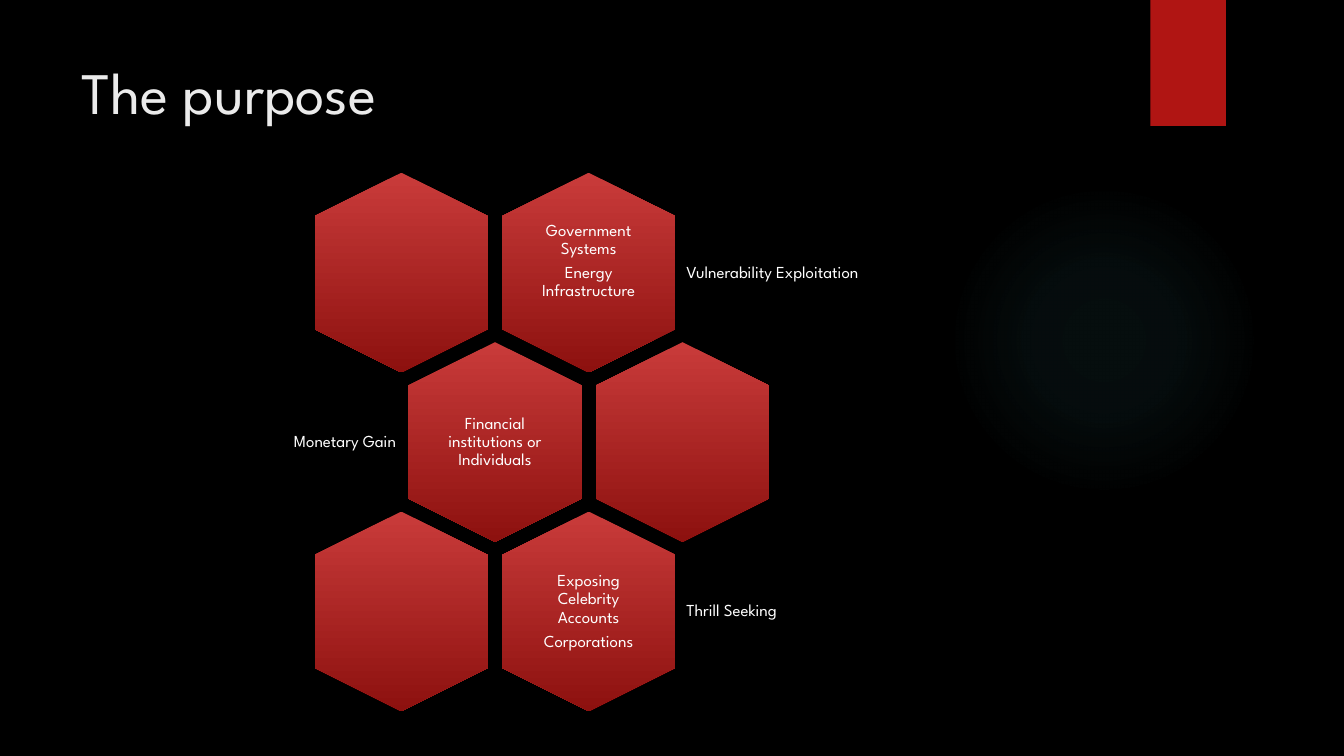
from lxml import etree
from pptx import Presentation
from pptx.dml.color import RGBColor
from pptx.enum.shapes import MSO_SHAPE
from pptx.enum.text import MSO_ANCHOR, PP_ALIGN
from pptx.oxml import parse_xml
from pptx.util import Pt

HEXAGON, OVAL, RECTANGLE = MSO_SHAPE.HEXAGON, MSO_SHAPE.OVAL, MSO_SHAPE.RECTANGLE
TOP, MIDDLE = MSO_ANCHOR.TOP, MSO_ANCHOR.MIDDLE
LEFT, CENTER, RIGHT = PP_ALIGN.LEFT, PP_ALIGN.CENTER, PP_ALIGN.RIGHT
FONT = "League Spartan"
DRAWING_NS = "http://schemas.openxmlformats.org/drawingml/2006/main"


def add_gradient_shape(preset, left, top, width, height, stops, direction):
    shape = slide.shapes.add_shape(preset, Pt(left), Pt(top), Pt(width), Pt(height))
    shape.shadow.inherit = False
    shape.line.fill.background()
    stop_xml = "".join(
        f'<a:gs pos="{position * 1000}"><a:srgbClr val="{color}">'
        f'<a:alpha val="{opacity * 1000}"/></a:srgbClr></a:gs>'
        for position, color, opacity in stops
    )
    gradient = parse_xml(
        f'<a:gradFill xmlns:a="{DRAWING_NS}" rotWithShape="0">'
        f"<a:gsLst>{stop_xml}</a:gsLst>{direction}</a:gradFill>"
    )
    shape._element.spPr.find(f"{{{DRAWING_NS}}}prstGeom").addnext(gradient)
    return shape


def add_caption(lines, left, top, width, height, align, bottom_inset=3.6):
    caption = slide.shapes.add_textbox(Pt(left), Pt(top), Pt(width), Pt(height))
    frame = caption.text_frame
    frame.word_wrap = True
    frame.vertical_anchor = MIDDLE
    frame.margin_left = frame.margin_right = frame.margin_top = Pt(3.6)
    frame.margin_bottom = Pt(bottom_inset)
    frame.text = "\n".join(lines)
    for paragraph in frame.paragraphs:
        paragraph.alignment = align
        paragraph.line_spacing = 0.9
        paragraph.space_after = Pt(4.2)
        paragraph.font.name = FONT
        paragraph.font.size = Pt(12)
        paragraph.font.color.rgb = RGBColor.from_string("FFFFFF")


presentation = Presentation()
presentation.slide_width = Pt(960)
presentation.slide_height = Pt(540)
slide = presentation.slides.add_slide(presentation.slide_layouts[5])
slide.background.fill.solid()
slide.background.fill.fore_color.rgb = RGBColor.from_string("000000")

add_gradient_shape(
    OVAL, 677.5, 131.8, 221.8, 221.8,
    [(0, "50B9C1", 7), (36, "50B9C1", 6), (69, "50B9C1", 0)],
    '<a:path path="circle"><a:fillToRect l="50000" t="50000" r="50000" b="50000"/></a:path>',
)

ribbon = slide.shapes.add_shape(RECTANGLE, Pt(821.7), Pt(0), Pt(54), Pt(90))
ribbon.shadow.inherit = False
ribbon.line.fill.background()
ribbon.fill.solid()
ribbon.fill.fore_color.rgb = RGBColor.from_string("B01513")

title = slide.shapes.title
title.left, title.top, title.width, title.height = Pt(51), Pt(36), Pt(741), Pt(110)
title.text_frame.text = "The purpose"
title.text_frame.vertical_anchor = TOP
heading = title.text_frame.paragraphs[0]
heading.alignment = LEFT
heading.runs[0].font.name = FONT
heading.runs[0].font.size = Pt(42)
heading.runs[0].font.color.rgb = RGBColor.from_string("EBEBEB")

HEX_LENGTH, HEX_BREADTH = 142.6, 123.8
COLUMN_PITCH, ROW_PITCH = 133.9, 121
FIRST_LEFT, FIRST_TOP = 215.3, 132.8

rows = [
    (["Government Systems", "Energy Infrastructure"], 1, "Vulnerability Exploitation", 20.4),
    (["Financial institutions or Individuals"], 0, "Monetary Gain", 3.6),
    (["Exposing Celebrity Accounts", "Corporations"], 1, "Thrill Seeking", 3.6),
]
for row, (targets, target_column, motive, bottom_inset) in enumerate(rows):
    row_left = FIRST_LEFT + row % 2 * COLUMN_PITCH / 2
    row_top = FIRST_TOP + row * ROW_PITCH
    for column in range(2):
        cell = add_gradient_shape(
            HEXAGON, row_left + column * COLUMN_PITCH, row_top, HEX_LENGTH, HEX_BREADTH,
            [(0, "C93B3A", 100), (100, "8D110F", 100)],
            '<a:lin ang="5400000" scaled="0"/>',
        )
        cell.rotation = 90
    target_left = row_left + target_column * COLUMN_PITCH
    add_caption(targets, target_left + 28.8, row_top + 13, 85, 98, CENTER, bottom_inset)
    if target_column:
        add_caption([motive], target_left + 137.4, row_top + 19.2, 159, 85.6, LEFT)
    else:
        add_caption([motive], target_left - 149.7, row_top + 19.2, 154, 85.6, RIGHT)

presentation.save("out.pptx")
